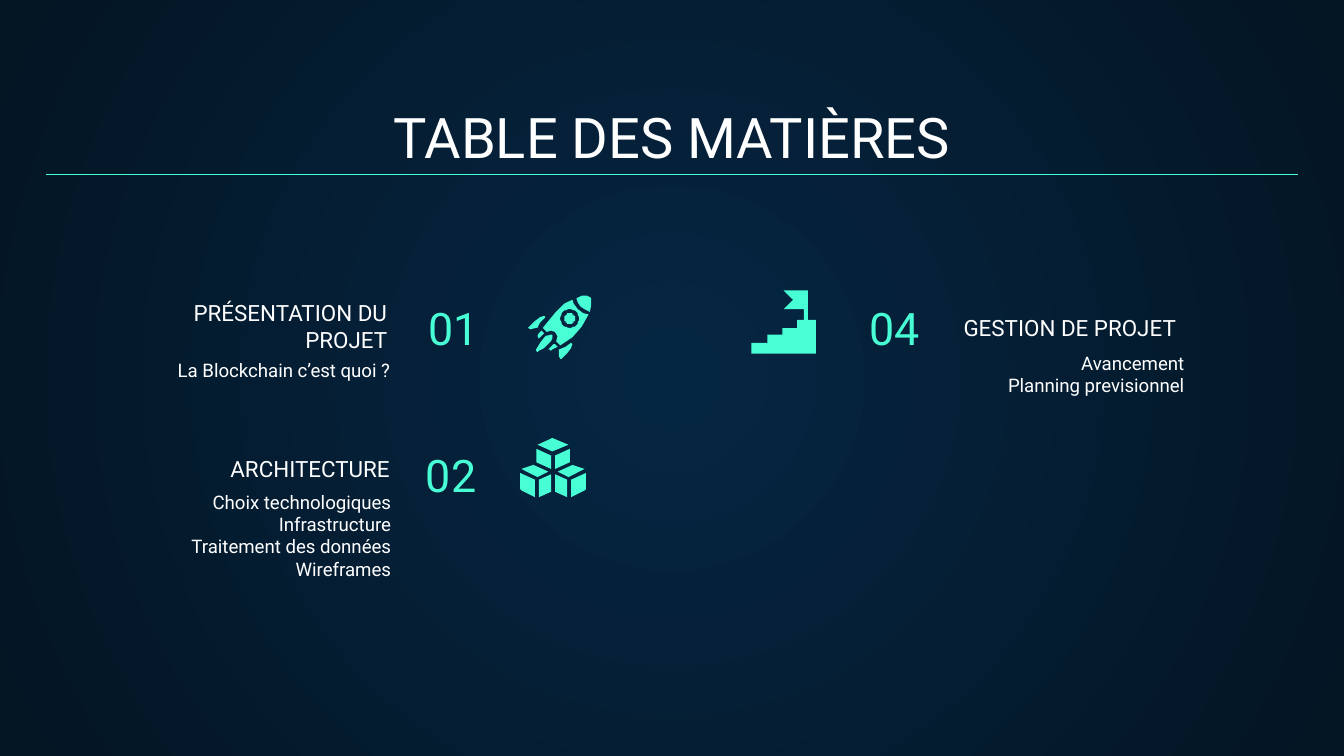
from math import cos, pi, sin

from lxml.etree import SubElement
from pptx import Presentation
from pptx.dml.color import RGBColor
from pptx.enum.shapes import MSO_CONNECTOR
from pptx.enum.text import MSO_ANCHOR, MSO_AUTO_SIZE, PP_ALIGN
from pptx.oxml.ns import qn
from pptx.util import Cm, Pt

COLORS = {"text": "FFFFFF", "accent": "48FFD5", "center": "052643", "edge": "041523"}
FONT = "Roboto"
LEFT, CENTER, RIGHT = PP_ALIGN.LEFT, PP_ALIGN.CENTER, PP_ALIGN.RIGHT
HUNDREDTH_INCH = Cm(0.0254)  # drawing unit of the icons


def write_text(shape, box, text, size, color, alignment, anchor=MSO_ANCHOR.BOTTOM):
    shape.left, shape.top, shape.width, shape.height = [Cm(value) for value in box]
    frame = shape.text_frame
    frame.text = text
    frame.word_wrap = True
    frame.auto_size = MSO_AUTO_SIZE.NONE
    frame.vertical_anchor = anchor
    frame.margin_left = frame.margin_right = Cm(0.25)
    frame.margin_top = frame.margin_bottom = Cm(0.25)
    for paragraph in frame.paragraphs:
        paragraph.alignment = alignment
        paragraph.space_before = Pt(0)
        for run in paragraph.runs:
            run.font.name = FONT
            run.font.size = Pt(size)
            run.font.bold = False
            run.font.color.rgb = RGBColor.from_string(COLORS[color])


def draw_icon_part(left, top, *contours):
    builder = slide.shapes.build_freeform(*contours[0][0], scale=HUNDREDTH_INCH)
    for number, contour in enumerate(contours):
        if number:
            builder.move_to(*contour[0])
        builder.add_line_segments(contour[1:], close=True)
    shape = builder.convert_to_shape(Cm(left), Cm(top))
    shape.shadow.inherit = False
    shape.fill.solid()
    shape.fill.fore_color.rgb = RGBColor.from_string(COLORS["accent"])
    shape.line.fill.background()


presentation = Presentation()
presentation.slide_width = Cm(25.4)
presentation.slide_height = Cm(14.29)
slide = presentation.slides.add_slide(presentation.slide_layouts[4])

# Background: radial gradient
background = slide.background.fill
background.gradient()
for stop, position, name in zip(background.gradient_stops, (0, 1), ("center", "edge")):
    stop.position = position
    stop.color.rgb = RGBColor.from_string(COLORS[name])
gradient = slide.element.find(".//" + qn("a:gradFill"))
gradient.remove(gradient.find(qn("a:lin")))
circle = SubElement(gradient, qn("a:path"), {"path": "circle"})
SubElement(circle, qn("a:fillToRect"), dict.fromkeys("ltrb", "50000"))

# Title and rule
write_text(slide.shapes.title, (0.86, 1.78, 23.67, 1.68), "TABLE DES MATIÈRES",
           30, "text", CENTER)
rule = slide.shapes.add_connector(MSO_CONNECTOR.STRAIGHT, Cm(0.86), Cm(3.3), Cm(24.54), Cm(3.3))
rule.line.color.rgb = RGBColor.from_string(COLORS["accent"])
rule.line.width = Pt(0.75)
SubElement(rule.element.spPr, qn("a:effectLst"))

# Section numbers and headings: text, left, top, alignment
numbers = [("01", 7.85, 5.28, LEFT), ("02", 7.8, 8.05, LEFT), ("04", 14.35, 5.28, RIGHT)]
for text, left, top, alignment in numbers:
    box = slide.shapes.add_textbox(0, 0, 0, 0)
    write_text(box, (left, top, 3.28, 1.68), text, 24, "accent", alignment)

headings = [
    ("PRÉSENTATION DU PROJET", 1.87, 6.4, RIGHT),
    ("ARCHITECTURE", 1.92, 8.84, RIGHT),
    ("GESTION DE PROJET", 17.96, 6.17, LEFT),
]
for text, left, top, alignment in headings:
    box = slide.shapes.add_textbox(0, 0, 0, 0)
    write_text(box, (left, top, 5.7, 0.53), text, 12, "text", alignment)

# Section contents: placeholder index, left, top, lines
contents = [
    (1, 2.62, 6.53, ["La Blockchain c’est quoi ?"]),
    (2, 2.64, 9.02, ["Choix technologiques", "Infrastructure",
                     "Traitement des données", "Wireframes"]),
    (3, 17.63, 6.4, ["Avancement", "Planning previsionnel"]),
]
for index, left, top, lines in contents:
    body = slide.placeholders[index]
    write_text(body, (left, top, 5, 1.63), "\n".join(lines), 10, "text", RIGHT, MSO_ANCHOR.TOP)
    for paragraph in body.text_frame.paragraphs:
        properties = paragraph._p.get_or_add_pPr()
        properties.set("marL", "0")
        properties.set("indent", "0")
        SubElement(properties, qn("a:buNone"))
unused = slide.placeholders[4].element
unused.getparent().remove(unused)

# Rocket icon
window, window_frame = [
    [(31 + radius * cos(step * pi / 16), 17 + radius * sin(step * pi / 16)) for step in range(32)]
    for radius in (4.2, 7)
]
body_outline = [(33, 3), (27, 6.5), (20, 13), (11, 24), (14, 27), (17, 26), (20, 27),
                (21.5, 30), (21, 34), (24, 37), (33, 31), (40, 23), (45, 14), (41, 13),
                (37, 10), (34, 6.5)]
rocket_parts = [
    [[(10, 26), (8, 28), (7, 30), (8, 32), (11, 29), (12, 28)]],
    [[(20, 36), (19, 36), (15, 40), (16, 40), (17, 41), (18, 40), (22, 38)]],
    [[(17, 29), (13, 30), (9, 35), (6, 40), (6, 41), (7, 42), (8, 41), (12, 39),
      (17, 34), (18, 32), (18, 29)]],
    [[(12, 15), (9, 16), (5, 19), (1, 23), (0.5, 24), (2, 25), (6, 24), (7, 24),
      (9, 20), (13, 16)]],
    [[(32, 35), (28, 38), (23, 40), (23, 45), (24, 47), (25, 47), (29, 43), (32, 39), (33, 36)]],
    [[(44, 0), (40, 0.5), (36, 2), (37, 5), (39, 8), (42, 10.5), (46, 12), (47, 7),
      (47, 2), (46, 1)]],
    [body_outline, window_frame],
    [window],
]
for contours in rocket_parts:
    draw_icon_part(9.98, 5.59, *contours)

# Cubes icon: the right half mirrors the left
left_faces = [
    [(12, 8), (12, 18), (23, 23), (23, 13)],
    [(1, 23), (10, 20), (21, 25), (13, 29)],
    [(0, 26), (0, 38), (1, 39), (11, 44), (11, 31)],
    [(23, 27), (14, 31), (14, 44), (23, 40)],
]
right_faces = [[(49 - x, y) for x, y in face] for face in left_faces]
top_face = [(13, 5), (24.5, 0), (36, 5), (24.5, 10)]
for face in left_faces + right_faces + [top_face]:
    draw_icon_part(9.83, 8.28, face)

# Stairs and flag icon
stairs = [(24, 0), (31, 7), (24, 14), (39, 14), (39, 22), (34, 22), (34, 28), (23, 28),
          (23, 33), (12, 33), (12, 39), (0, 39), (0, 47), (48, 47), (48, 22), (42, 22), (42, 0)]
draw_icon_part(14.2, 5.49, stairs)

presentation.save("out.pptx")
